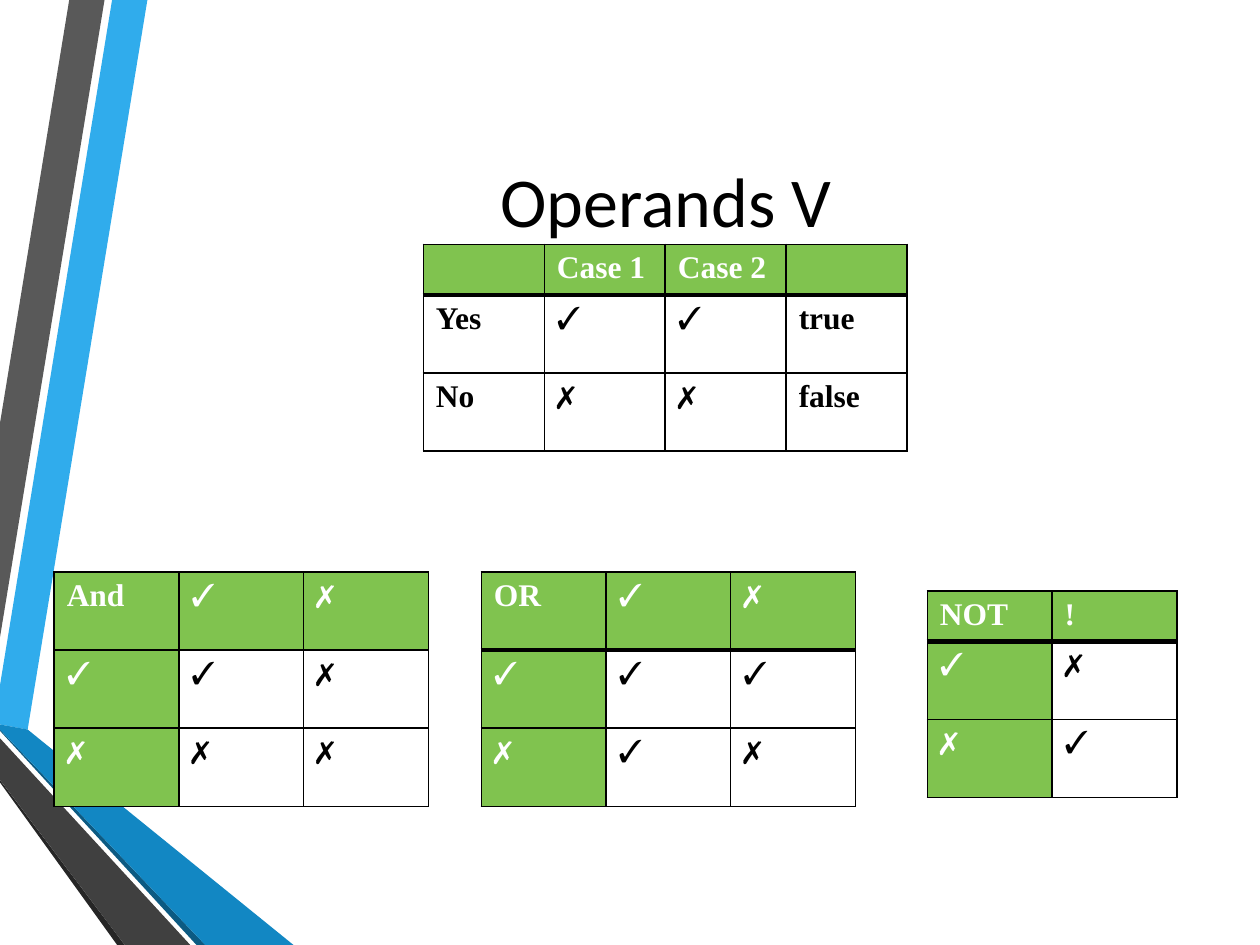
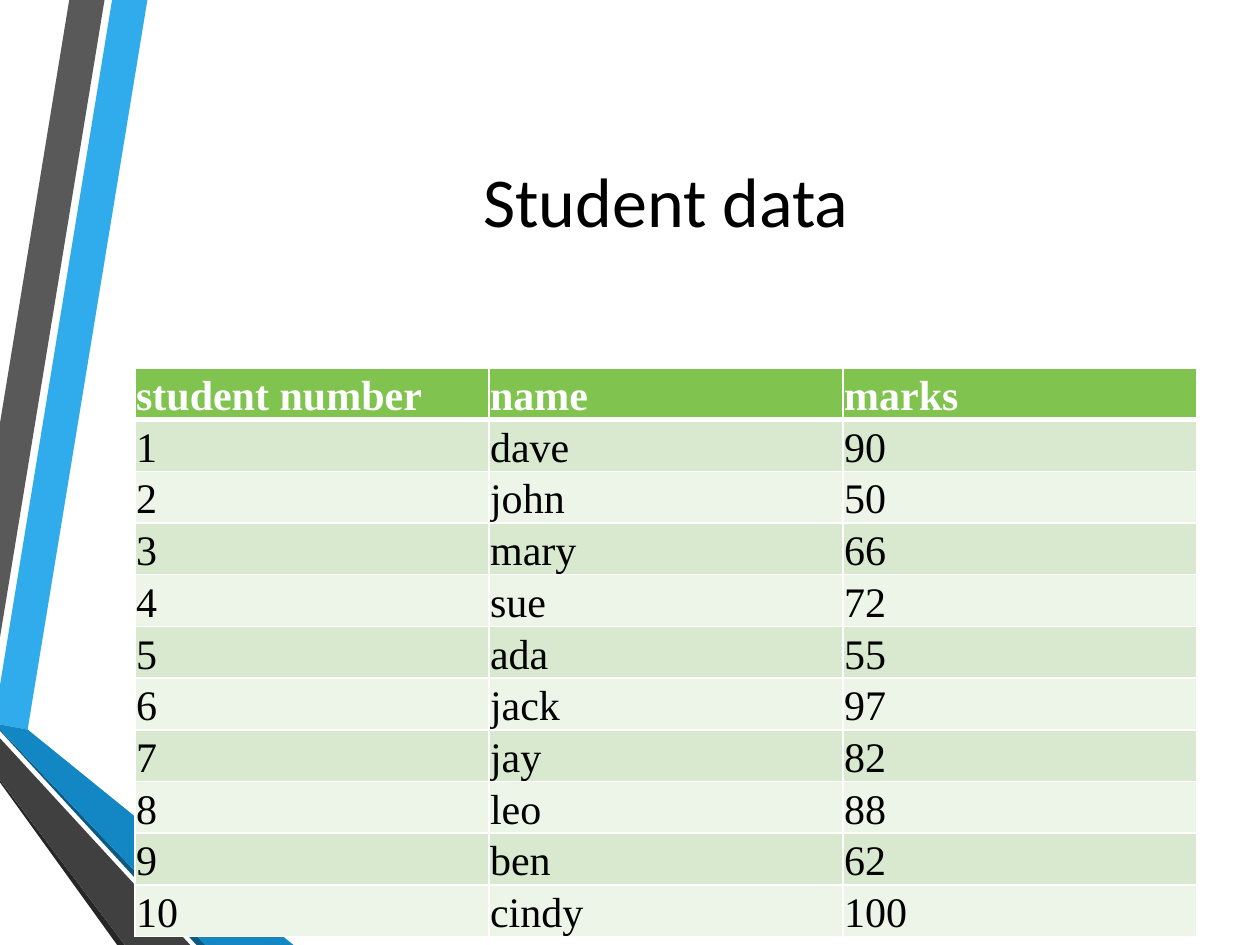
import lxml.etree as etree
import pptx
import pptx.dml.color
import pptx.enum.text
import pptx.oxml.ns
import pptx.util

Inches, Pt = pptx.util.Inches, pptx.util.Pt
RGB = pptx.dml.color.RGBColor
Anchor = pptx.enum.text.MSO_ANCHOR
qn = pptx.oxml.ns.qn

BLACK, WHITE = RGB(0, 0, 0), RGB(255, 255, 255)
GREEN = RGB(0x80, 0xC3, 0x4F)
STRIPES = RGB(0xD8, 0xE9, 0xD0), RGB(0xED, 0xF5, 0xE9)
SKY, GREY = RGB(0x30, 0xAC, 0xEC), RGB(0x59, 0x59, 0x59)
BLUE, NAVY = RGB(0x12, 0x87, 0xC3), RGB(0x0C, 0x5A, 0x82)
SLATE, COAL = RGB(0x40, 0x40, 0x40), RGB(0x26, 0x26, 0x26)
SERIF = "Times New Roman"

BANDS = [
    (SKY, [(0, 5.44), (0, 5.75), (0.22, 5.79), (1.17, 0), (0.89, 0)]),
    (GREY, [(0.83, 0), (0.55, 0), (0, 3.36), (0, 5.06)]),
    (COAL, [(0, 6.19), (0, 6.21), (0.93, 7.5), (0.99, 7.5)]),
    (NAVY, [(0, 5.79), (0, 5.8), (1.56, 7.5), (1.63, 7.5)]),
    (BLUE, [(0, 5.79), (1.63, 7.5), (2.33, 7.5), (0.22, 5.79), (0, 5.75)]),
    (SLATE, [(0, 6.19), (0.99, 7.5), (1.51, 7.5), (0, 5.86)]),
]

YES, NO = "✓", "✗"
AND = [["And", YES, NO], [YES, YES, NO], [NO, NO, NO]]
OR = [["OR", YES, NO], [YES, YES, YES], [NO, YES, NO]]
NOT = [["NOT", "!"], [YES, NO], [NO, YES]]
CASES = [["", "Case 1", "Case 2", ""],
         ["Yes", YES, YES, "true"],
         ["No", NO, NO, "false"]]
HEAD, ROW = 0.37, 0.62

MARKS = [("dave", 90), ("john", 50), ("mary", 66), ("sue", 72), ("ada", 55),
         ("jack", 97), ("jay", 82), ("leo", 88), ("ben", 62), ("cindy", 100)]
STUDENTS = [["student number", "name", "marks"]] + [
    [str(num), name, str(mark)] for num, (name, mark) in enumerate(MARKS, 1)]


def truth_look(row, col):
    """Fill, ink and bold of a cell with green heads on two sides."""
    head = row == 0 or col == 0
    return (GREEN, WHITE, True) if head else (WHITE, BLACK, False)


def case_look(row, col):
    return (GREEN, WHITE, True) if row == 0 else (WHITE, BLACK, col != 2)


def stripe_look(row, col):
    return (GREEN, WHITE, True) if row == 0 else (STRIPES[(row - 1) % 2], BLACK, False)


def add_edge(cell, side, width, color):
    edge = etree.SubElement(cell._tc.get_or_add_tcPr(), qn("a:ln" + side), w=str(Pt(width)))
    fill = etree.SubElement(edge, qn("a:solidFill"))
    etree.SubElement(fill, qn("a:srgbClr"), val=str(color))


def fill_cell(cell, text, look, size):
    fill, ink, bold = look
    cell.fill.solid()
    cell.fill.fore_color.rgb = fill
    cell.text_frame.text = text
    para = cell.text_frame.paragraphs[0]
    for run in para.runs:
        run.font.name, run.font.size, run.font.bold = SERIF, Pt(size), bold
        run.font.color.rgb = ink
    if not text:
        end = etree.SubElement(para._p, qn("a:endParaRPr"), sz=str(size * 100))
        etree.SubElement(end, qn("a:latin"), typeface=SERIF)


def add_grid(slide, data, left, top, width, heights, look,
             size=18, line=BLACK, rule=3, tight=False):
    """Draw a table; rule is the weight of the line below its head row."""
    rows, cols = len(data), len(data[0])
    table = slide.shapes.add_table(rows, cols, Inches(left), Inches(top),
                                   Inches(width * cols), Inches(sum(heights))).table
    table.horz_banding = False
    for col in table.columns:
        col.width = Inches(width)
    for r, (texts, height) in enumerate(zip(data, heights)):
        table.rows[r].height = Inches(height)
        for c, text in enumerate(texts):
            cell = table.cell(r, c)
            if tight:
                cell.margin_left = cell.margin_right = cell.margin_top = Inches(0.01)
                cell.margin_bottom = 0
                cell.vertical_anchor = Anchor.BOTTOM
            weights = {"L": 1, "R": 1, "T": rule if r == 1 else 1,
                       "B": rule if r == 0 else 1}
            for side, weight in weights.items():
                add_edge(cell, side, weight, line)
            fill_cell(cell, text, look(r, c), size)


def add_band(slide, color, points):
    start, *rest = [(Inches(x), Inches(y)) for x, y in points]
    pen = slide.shapes.build_freeform(*start)
    pen.add_line_segments(rest, close=True)
    band = pen.convert_to_shape()
    band.shadow.inherit = False
    band.fill.solid()
    band.fill.fore_color.rgb = color
    band.line.fill.background()


def add_page(deck, title):
    slide = deck.slides.add_slide(deck.slide_layouts[6])
    for color, points in BANDS:
        add_band(slide, color, points)
    box = slide.shapes.add_textbox(Inches(1.07), Inches(0.5), Inches(8.43), Inches(2.17))
    frame = box.text_frame
    frame.word_wrap = True
    frame.vertical_anchor = Anchor.MIDDLE
    frame.text = title
    para = frame.paragraphs[0]
    para.alignment = pptx.enum.text.PP_ALIGN.CENTER
    font = para.runs[0].font
    font.name, font.size = "Calibri", Pt(40)
    font.color.rgb = BLACK
    return slide


def main():
    deck = pptx.Presentation()
    deck.slide_width, deck.slide_height = Inches(10), Inches(7.5)

    page = add_page(deck, "Operands V")
    even, short = [ROW] * 3, [HEAD, ROW, ROW]
    add_grid(page, AND, 0.43, 4.54, 0.99, even, truth_look, rule=1)
    add_grid(page, OR, 3.82, 4.54, 0.99, even, truth_look)
    add_grid(page, NOT, 7.36, 4.69, 0.99, short, truth_look)
    add_grid(page, CASES, 3.36, 1.94, 0.96, short, case_look)

    page = add_page(deck, "Student data")
    add_grid(page, STUDENTS, 1.07, 2.92, 2.81, [0.41] * len(STUDENTS),
             stripe_look, size=24, line=WHITE, tight=True)

    deck.save("out.pptx")


if __name__ == "__main__":
    main()
